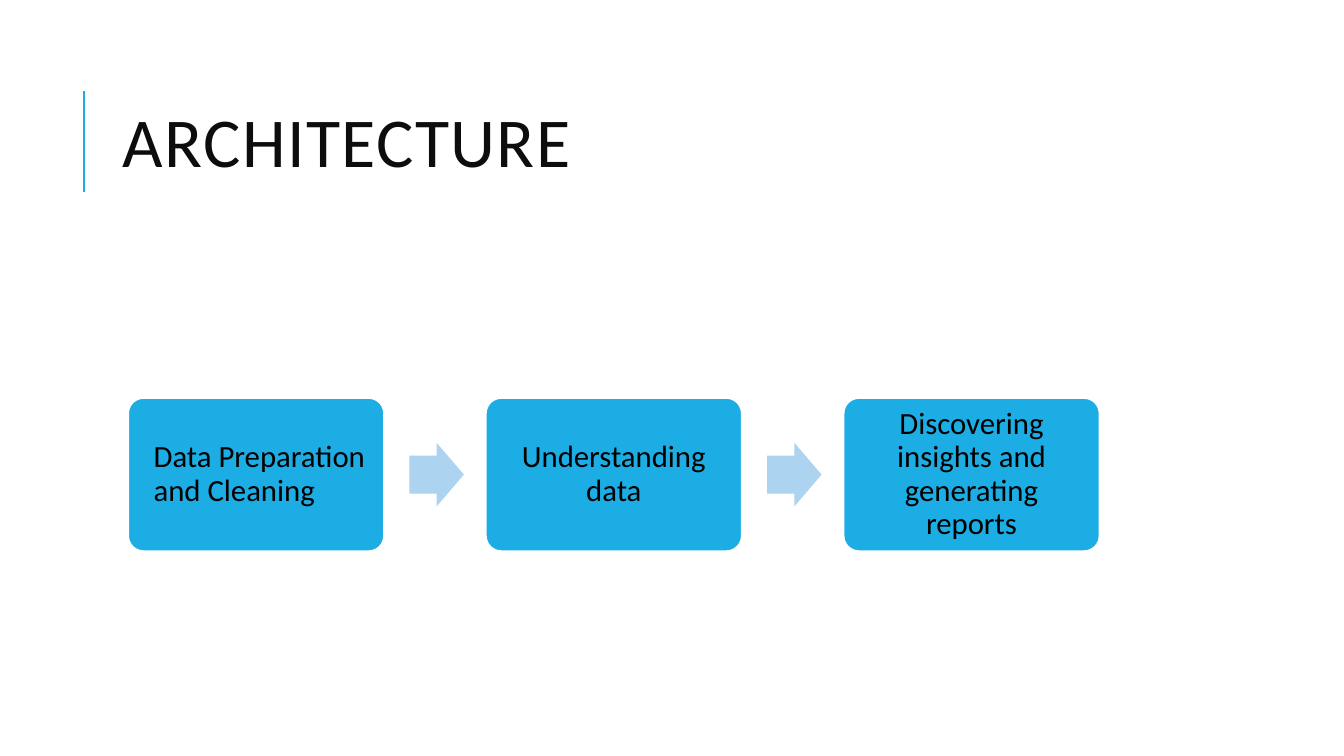
from dataclasses import dataclass

from pptx import Presentation
from pptx import util as u
from pptx.dml.color import RGBColor
from pptx.enum import shapes, text
from pptx.oxml.ns import qn


@dataclass(frozen=True)
class Theme:
    """Colours, font and type sizes of the deck."""
    accent: str = "1CADE4"
    arrow: str = "ACD3EF"
    outline: str = "FFFFFF"
    title_ink: str = "0D0D0D"
    step_ink: str = "000000"
    font: str = "Calibri"
    title_size: int = 50
    step_size: int = 22


@dataclass(frozen=True)
class Box:
    """A rectangle in centimetres."""
    left: float
    top: float
    width: float
    height: float

    def lengths(self):
        """Return the four sides as slide lengths."""
        return [u.Cm(side) for side in (self.left, self.top, self.width, self.height)]


THEME = Theme()
STEPS = [
    ("Data Preparation and Cleaning", text.PP_ALIGN.LEFT, 0.53),
    ("Understanding data", text.PP_ALIGN.CENTER, 0.36),
    ("Discovering insights and generating reports", text.PP_ALIGN.CENTER, 0.36),
]


def write(shape, words, *, size, colour, align=text.PP_ALIGN.LEFT,
          line_spacing=1.0, tracking=0, left=0.25, right=0.25, upright=0.13):
    """Fill a shape with one formatted, vertically centred paragraph."""
    frame = shape.text_frame
    frame.word_wrap = True
    frame.vertical_anchor = text.MSO_ANCHOR.MIDDLE
    frame.margin_left, frame.margin_right = u.Cm(left), u.Cm(right)
    frame.margin_top = frame.margin_bottom = u.Cm(upright)
    para = frame.paragraphs[0]
    para.alignment = align
    para.line_spacing = line_spacing
    span = para.add_run()
    span.text = words
    span.font.name = THEME.font
    span.font.size = u.Pt(size)
    span.font.color.rgb = RGBColor.from_string(colour)
    if tracking:
        span.font._element.set("spc", str(tracking * 100))


def add_block(page, kind, box, fill, adjustments, outline=None):
    """Add a flat preset shape."""
    shape = page.shapes.add_shape(kind, *box.lengths())
    shape.shadow.inherit = False
    shape.fill.solid()
    shape.fill.fore_color.rgb = RGBColor.from_string(fill)
    for index, value in enumerate(adjustments):
        shape.adjustments[index] = value
    if outline:
        shape.line.color.rgb = RGBColor.from_string(outline)
        shape.line.width = u.Pt(1.25)
    else:
        shape.line.fill.background()
    return shape


def add_title(page, box, words):
    """Place the accent rule at the left of the box and the title beside it."""
    rule_left, rule_top = u.Cm(box.left), u.Cm(box.top + 0.66)
    rule = page.shapes.add_connector(
        shapes.MSO_CONNECTOR.STRAIGHT, rule_left, rule_top, rule_left, rule_top + u.Cm(2.54))
    rule.line.color.rgb = RGBColor.from_string(THEME.accent)
    rule.line.width = u.Pt(1.5)
    properties = rule._element.spPr
    properties.append(properties.makeelement(qn("a:effectLst"), {}))

    indent = 0.73
    title_box = Box(box.left + indent, box.top, box.width - indent, box.height)
    title = page.shapes.add_textbox(*title_box.lengths())
    write(title, words, size=THEME.title_size, colour=THEME.title_ink,
          line_spacing=0.8, tracking=1)


def add_process(page, box, steps):
    """Spread the steps evenly across the box with an arrow in each gap."""
    step_width, arrow_width, arrow_height, arrow_offset = 6.45, 1.37, 1.6, 0.64
    pitch = (box.width - step_width) / (len(steps) - 1)
    for index, (words, align, left_margin) in enumerate(steps):
        left = box.left + index * pitch
        if index:
            arrow_box = Box(left - pitch + step_width + arrow_offset,
                            box.top + (box.height - arrow_height) / 2,
                            arrow_width, arrow_height)
            add_block(page, shapes.MSO_SHAPE.RIGHT_ARROW, arrow_box, THEME.arrow, [0.6, 0.5])
        step = add_block(page, shapes.MSO_SHAPE.ROUNDED_RECTANGLE,
                         Box(left, box.top, step_width, box.height),
                         THEME.accent, [0.1], THEME.outline)
        write(step, words, size=THEME.step_size, colour=THEME.step_ink, align=align,
              line_spacing=0.9, left=left_margin, right=0.36, upright=0)


def main():
    """Build and save the deck."""
    deck = Presentation()
    deck.slide_width, deck.slide_height = u.Cm(33.87), u.Cm(19.05)
    page = deck.slides.add_slide(deck.slide_layouts[6])
    add_title(page, Box(2.12, 1.63, 27.73, 4.17), "ARCHITECTURE")
    add_process(page, Box(3.23, 10.03, 24.48, 3.86), STEPS)
    deck.save("out.pptx")


main()
